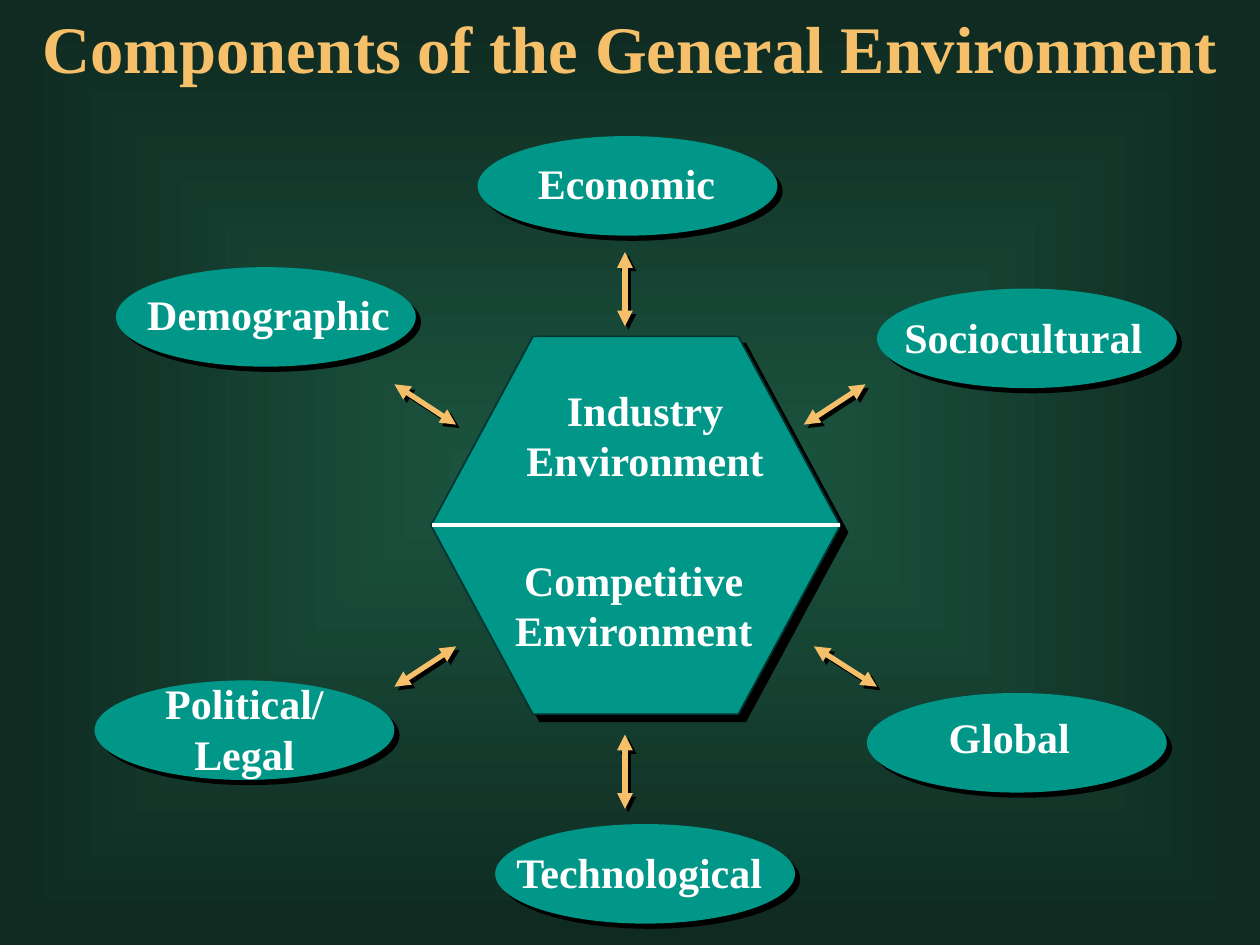
"""Build the slide showing the components of the general environment."""
from dataclasses import dataclass

from lxml.etree import SubElement
from pptx import Presentation
from pptx.dml.color import RGBColor
from pptx.enum.shapes import MSO_CONNECTOR, MSO_SHAPE
from pptx.enum.text import MSO_ANCHOR, MSO_AUTO_SIZE, PP_ALIGN
from pptx.oxml import parse_xml
from pptx.oxml.ns import nsdecls, qn
from pptx.util import Inches, Pt

COLORS = {
    "title": "F6BF69",
    "teal": "009688",
    "outline": "003530",
    "text": "FFFFFF",
    "shadow": "000000",
    "center": "1B533F",
    "edge": "0F2A20",
}
FONT = "Times New Roman"
WIDTH, HEIGHT = Inches(10), Inches(7.5)
COLUMNS, ROWS = 100, 75
OVAL_SIZE = (23.8, 7.9)


@dataclass(frozen=True)
class Component:
    """An oval with its label box and its double arrow, in grid units."""

    label: str
    oval: tuple[float, float]
    box: tuple[float, float, float, float]
    arrow: tuple[float, float, float, float]
    align: PP_ALIGN = PP_ALIGN.LEFT


COMPONENTS = (
    Component("Political/Legal", (7.5, 54), (11.9, 53.3, 15, 9),
              (36.2, 51.3, 31.3, 54.5), PP_ALIGN.CENTER),
    Component("Economic", (37.9, 10.8), (41.7, 12, 16.2, 5), (49.6, 25.9, 49.6, 20)),
    Component("Technological", (39.3, 65.4), (40, 66.7, 22.3, 5), (49.6, 64.2, 49.6, 58.3)),
    Component("Global", (68.8, 55), (74.3, 56, 12.7, 5), (64.6, 51.3, 69.6, 54.5)),
    Component("Demographic", (9.2, 21.2), (10.7, 22.4, 21.6, 5), (36.2, 33.7, 31.3, 30.5)),
    Component("Sociocultural", (69.6, 22.9), (70.8, 24.2, 21.3, 5), (63.8, 33.7, 68.7, 30.5)),
)


def grid(*values: float) -> list[int]:
    """Turn alternating columns and rows into slide lengths."""
    units = (WIDTH / COLUMNS, HEIGHT / ROWS)
    return [round(value * units[index % 2]) for index, value in enumerate(values)]


def color(name: str) -> RGBColor:
    """Return a named color."""
    return RGBColor.from_string(COLORS[name])


def effects(distance: float = 0):
    """Return an effect list, with a diagonal shadow if a distance is given."""
    shadow = (
        f'<a:outerShdw dist="{Pt(distance)}" dir="2700000" algn="ctr" rotWithShape="0">'
        f'<a:srgbClr val="{COLORS["shadow"]}"/></a:outerShdw>'
    ) if distance else ""
    return parse_xml(f'<a:effectLst {nsdecls("a")}>{shadow}</a:effectLst>')


def set_background(slide) -> None:
    """Fill the slide with a gradient that darkens from its center."""
    fill = slide.background.fill
    fill.gradient()
    for stop, name in zip(fill.gradient_stops, ("center", "edge")):
        stop.color.rgb = color(name)
    gradient = slide.background._cSld.find(f".//{qn('a:gradFill')}")
    gradient.remove(gradient.find(qn("a:lin")))
    gradient.append(parse_xml(
        f'<a:path {nsdecls("a")} path="shape">'
        '<a:fillToRect l="50000" t="50000" r="50000" b="50000"/></a:path>'
    ))


def write_text(shape, text: str, *, size: float = 24, color_name: str = "text",
               align: PP_ALIGN = PP_ALIGN.CENTER, anchor: MSO_ANCHOR = MSO_ANCHOR.TOP,
               shadow: float = 2) -> None:
    """Write bold text into a shape, one paragraph per line."""
    frame = shape.text_frame
    frame.text = text
    frame.word_wrap = True
    frame.auto_size = MSO_AUTO_SIZE.NONE
    frame.vertical_anchor = anchor
    for paragraph in frame.paragraphs:
        paragraph.alignment = align
        for run in paragraph.runs:
            font = run.font
            font.name, font.size, font.bold = FONT, Pt(size), True
            font.color.rgb = color(color_name)
            if shadow:
                run._r.rPr.find(qn("a:solidFill")).addnext(effects(shadow))


def add_body(shapes, kind: MSO_SHAPE, place: tuple, shadow: float, outline: str = ""):
    """Add a teal shape with a hard shadow."""
    shape = shapes.add_shape(kind, *grid(*place))
    shape.fill.solid()
    shape.fill.fore_color.rgb = color("teal")
    if outline:
        shape.line.color.rgb = color(outline)
        shape.line.width = Pt(1)
    else:
        shape.line.fill.background()
    shape._element.spPr.append(effects(shadow))
    return shape


def add_line(shapes, ends: tuple, color_name: str, width: float,
             arrows: bool = False, shadow: float = 0) -> None:
    """Add a straight line, optionally with arrowheads at both ends."""
    line = shapes.add_connector(MSO_CONNECTOR.STRAIGHT, *grid(*ends))
    line.line.color.rgb = color(color_name)
    line.line.width = Pt(width)
    if arrows:
        for tag in ("a:headEnd", "a:tailEnd"):
            SubElement(line.line._get_or_add_ln(), qn(tag), type="triangle")
    line._element.spPr.append(effects(shadow))


def add_component(slide, component: Component) -> None:
    """Add a labelled oval and the arrow that links it to the hexagon."""
    shapes = slide.shapes.add_group_shape().shapes
    add_body(shapes, MSO_SHAPE.OVAL, component.oval + OVAL_SIZE, 4.2)
    write_text(shapes.add_textbox(*grid(*component.box)), component.label,
               align=component.align)
    add_line(slide.shapes, component.arrow, "title", 3, arrows=True, shadow=2.8)


def add_core(slide) -> None:
    """Add the hexagon with its two halves."""
    shapes = slide.shapes.add_group_shape().shapes
    hexagon = add_body(shapes, MSO_SHAPE.HEXAGON, (34.2, 26.7, 32.5, 30), 5.7, "outline")
    hexagon.adjustments[0] = 0.27
    write_text(shapes.add_textbox(*grid(36.5, 43.5, 27.6, 9)),
               "Competitive\nEnvironment", shadow=0)
    write_text(shapes.add_textbox(*grid(37.4, 30, 27.6, 9)), "Industry Environment")
    add_line(shapes, (34.3, 41.7, 66.7, 41.7), "text", 2.25)


def main() -> None:
    """Build and save the presentation."""
    presentation = Presentation()
    presentation.slide_width, presentation.slide_height = WIDTH, HEIGHT
    slide = presentation.slides.add_slide(presentation.slide_layouts[5])
    set_background(slide)
    title = slide.shapes.title
    title.left, title.top, title.width, title.height = grid(0, 0, COLUMNS, 7.5)
    write_text(title, "Components of the General Environment", size=38,
               color_name="title", anchor=MSO_ANCHOR.MIDDLE)
    for component in COMPONENTS:
        add_component(slide, component)
    add_core(slide)
    presentation.save("out.pptx")


if __name__ == "__main__":
    main()
